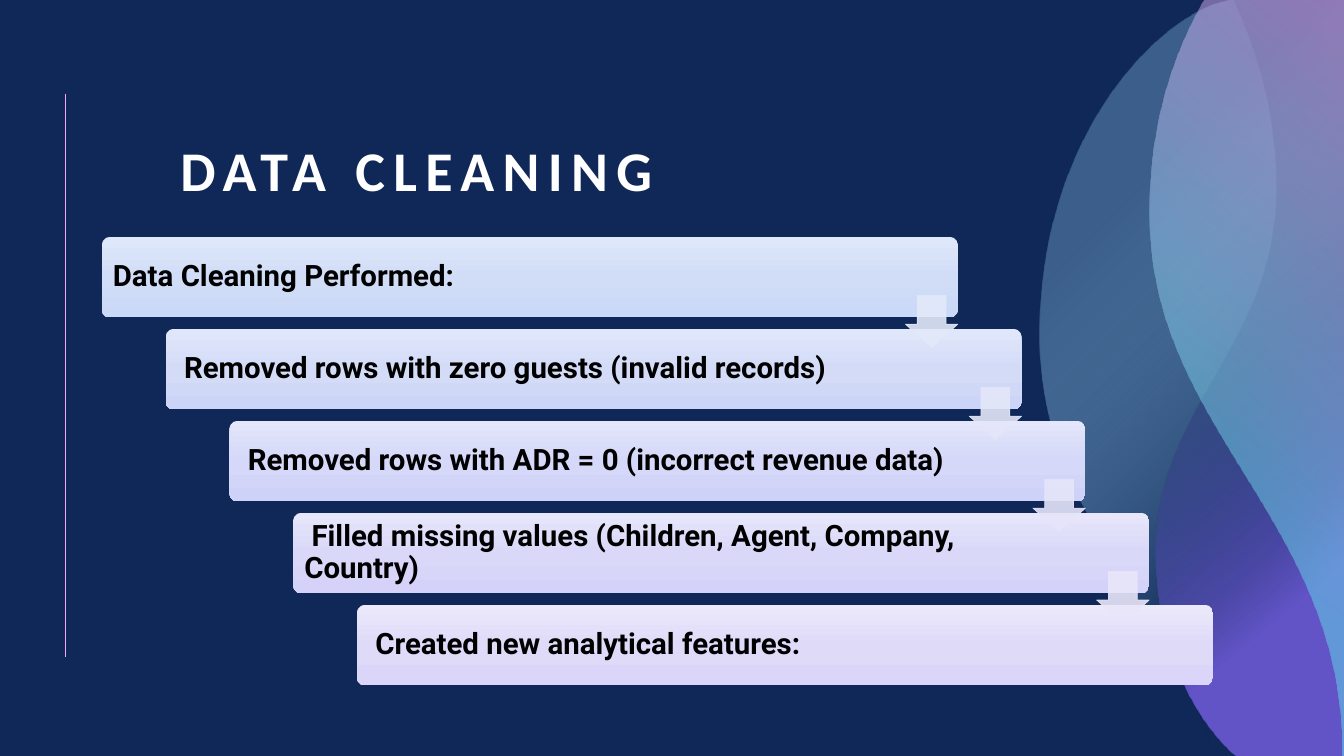
"""Build the data cleaning slide: a staircase of steps beside flowing ribbons."""
from dataclasses import dataclass

from lxml import etree
from pptx import Presentation
from pptx import util as u
from pptx.dml.color import RGBColor
from pptx.enum import shapes, text
from pptx.oxml.ns import qn


@dataclass(frozen=True)
class Theme:
    """Colours, fonts and type sizes of the slide."""

    background: str = "102857"
    rule: str = "F6A6F4"
    sky: str = "92CDF0"
    violet: str = "765FE1"
    teal: str = "64DFED"
    white: str = "FFFFFF"
    black: str = "000000"
    title_font: str = "Calibri"
    step_font: str = "Roboto"
    title_size: int = 40
    step_size: int = 21


THEME = Theme()
STEP_LEFT, STEP_TOP = 1.01, 2.35
ARROW_LEFT, ARROW_TOP = 8.98, 2.93
SHIFT_X, SHIFT_Y = 2.53 / 4, 3.65 / 4
STEPS = [
    ("Data Cleaning Performed:", 7.53, ("DFE8FA", "D1DDF7", "CAD9F7")),
    (" Removed rows with zero guests (invalid records)", 7.29, ("E1E7FA", "D3DBF7", "CCD5F8")),
    (" Removed rows with ADR = 0 (incorrect revenue data)", 7.29, ("E4E6FB", "D5D8F8", "CFD2F8")),
    (" Filled missing values (Children, Agent, Company, Country)", 7.29,
     ("E7E6FB", "D9D8F8", "D4D2F8")),
    (" Created new analytical features:", 7.29, ("ECE9FB", "DFDAF8", "DBD5F9")),
]
ARROW_COLOURS = ["E2E9F9", "E4E7F9", "E5E5FA", "E9E6FA"]
RIBBONS = [
    {
        "start": (12.2, 0),
        "pieces": [
            (13.34, 0), (13.34, 7.5), (12.04, 7.5), (12.02, 7.43),
            (11.54, 5.95, 10.31, 5.03, 10.31, 3.34),
            (10.3, 1.51, 11.32, 0.31, 12.05, 0.04),
        ],
        "stops": [(26, THEME.background, 100), (73, THEME.sky, 33)],
        "angle": None,
    },
    {
        "start": (12.23, 0),
        "pieces": [
            (13.33, 0), (13.33, 7.5), (12.26, 7.5), (12.24, 7.49),
            (11.85, 7.14, 11.46, 6.43, 11.46, 5.46),
            (11.47, 4.04, 12.63, 3.43, 12.65, 1.92),
            (12.66, 1.17, 12.48, 0.58, 12.28, 0.12),
        ],
        "stops": [(37, THEME.background, 28), (79, THEME.violet, 80)],
        "angle": 50,
    },
    {
        "start": (11.94, 0),
        "pieces": [
            (13.33, 0), (13.33, 7.5), (13.3, 7.5), (13.3, 7.37),
            (13.26, 5.14, 11.41, 4.24, 11.4, 2.15),
            (11.39, 1.36, 11.58, 0.69, 11.85, 0.17),
        ],
        "stops": [(32, THEME.teal, 48), (100, THEME.rule, 49)],
        "angle": 310,
    },
]


def apply_format(target, values):
    """Set each named attribute on the target."""
    for name, value in values.items():
        setattr(target, name, value)


def set_alpha(colour_node, percent):
    """Give a colour element an opacity."""
    etree.SubElement(colour_node, qn("a:alpha"), val=str(percent * 1000))


def fill_gradient(shape, stops, angle):
    """Fill with a linear gradient, or one round the lower right corner."""
    shape.fill.gradient()
    gradient = shape._element.spPr.find(qn("a:gradFill"))
    for child in list(gradient):
        gradient.remove(child)
    stop_list = etree.SubElement(gradient, qn("a:gsLst"))
    for position, colour, opacity in stops:
        stop = etree.SubElement(stop_list, qn("a:gs"), pos=str(position * 1000))
        colour_node = etree.SubElement(stop, qn("a:srgbClr"), val=colour)
        if opacity < 100:
            set_alpha(colour_node, opacity)
    if angle is None:
        circle = etree.SubElement(gradient, qn("a:path"), path="circle")
        etree.SubElement(circle, qn("a:fillToRect"), l="100000", t="100000")
    else:
        etree.SubElement(gradient, qn("a:lin"), ang=str(angle * 60000), scaled="0")


def bend_segments(ribbon, pieces):
    """Turn the straight segments that have control points into cubic curves."""
    segments = list(ribbon._element.spPr.iter(qn("a:lnTo")))
    for segment, piece in zip(segments, pieces):
        if len(piece) == 2:
            continue
        curve = etree.Element(qn("a:cubicBezTo"))
        for x, y in zip(piece[::2], piece[1::2]):
            etree.SubElement(curve, qn("a:pt"), x=str(u.Inches(x) - ribbon.left),
                             y=str(u.Inches(y) - ribbon.top))
        segment.getparent().replace(segment, curve)


def add_ribbon(page, start, pieces, stops, angle):
    """Add one translucent ribbon outlined by lines and curves."""
    builder = page.shapes.build_freeform(*map(u.Inches, start))
    corners = [tuple(map(u.Inches, piece[-2:])) for piece in pieces]
    builder.add_line_segments(corners, close=True)
    ribbon = builder.convert_to_shape()
    bend_segments(ribbon, pieces)
    ribbon.shadow.inherit = False
    ribbon.line.fill.background()
    fill_gradient(ribbon, stops, angle)


def add_rule(page):
    """Add the thin upright line at the left."""
    x = u.Inches(0.65)
    rule = page.shapes.add_connector(
        shapes.MSO_CONNECTOR.STRAIGHT, x, u.Inches(0.93), x, u.Inches(6.52))
    rule.line.color.rgb = RGBColor.from_string(THEME.rule)
    rule.line.width = u.Pt(0.5)
    etree.SubElement(rule._element.spPr, qn("a:effectLst"))


def add_text(page, place, wording, frame_format, font_format, colour):
    """Add a text box with one bold paragraph and return its span."""
    box = page.shapes.add_textbox(*map(u.Inches, place))
    apply_format(box.text_frame, {"word_wrap": True, **frame_format})
    para = box.text_frame.paragraphs[0]
    apply_format(para, {"alignment": text.PP_ALIGN.LEFT, "line_spacing": 0.9})
    span = para.add_run()
    span.text = wording
    apply_format(span.font, {"bold": True, **font_format})
    span.font.color.rgb = RGBColor.from_string(colour)
    return span


def add_title(page, wording):
    """Add the widely spaced title."""
    span = add_text(
        page, (1.69, 0.9, 9.71, 1.17), wording,
        {"vertical_anchor": text.MSO_ANCHOR.BOTTOM},
        {"name": THEME.title_font, "size": u.Pt(THEME.title_size)}, THEME.white)
    span.font._element.set("spc", "600")


def add_step(page, index, wording, text_width, colours):
    """Add one step of the staircase with its wording."""
    left, top = STEP_LEFT + index * SHIFT_X, STEP_TOP + index * SHIFT_Y
    panel = page.shapes.add_shape(
        shapes.MSO_SHAPE.ROUNDED_RECTANGLE, *map(u.Inches, (left, top, 8.49, 0.8)))
    panel.adjustments[0] = 0.1
    panel.shadow.inherit = False
    panel.line.fill.background()
    fill_gradient(panel, [(at, colour, 100) for at, colour in zip((0, 50, 100), colours)], 90)
    margins = {f"margin_{side}": u.Inches(0.09) for side in ("left", "top", "right", "bottom")}
    add_text(
        page, (left + 0.02, top + 0.02, text_width, 0.76), wording,
        {"vertical_anchor": text.MSO_ANCHOR.MIDDLE, **margins},
        {"name": THEME.step_font, "size": u.Pt(THEME.step_size)}, THEME.black)


def add_arrow(page, index, colour):
    """Add the arrow that leads from one step to the next."""
    place = (ARROW_LEFT + index * SHIFT_X, ARROW_TOP + index * SHIFT_Y, 0.52, 0.52)
    arrow = page.shapes.add_shape(shapes.MSO_SHAPE.DOWN_ARROW, *map(u.Inches, place))
    arrow.adjustments[0], arrow.adjustments[1] = 0.55, 0.45
    arrow.shadow.inherit = False
    arrow.fill.solid()
    arrow.fill.fore_color.rgb = arrow.line.color.rgb = RGBColor.from_string(colour)
    arrow.line.width = u.Pt(0.5)
    for node in arrow._element.spPr.iter(qn("a:srgbClr")):
        set_alpha(node, 90)


def main():
    """Build and save the deck."""
    deck = Presentation()
    apply_format(deck, {"slide_width": u.Inches(13.33), "slide_height": u.Inches(7.5)})
    page = deck.slides.add_slide(deck.slide_layouts[6])
    page.background.fill.solid()
    page.background.fill.fore_color.rgb = RGBColor.from_string(THEME.background)
    add_rule(page)
    for ribbon in RIBBONS:
        add_ribbon(page, **ribbon)
    add_title(page, "DATA CLEANING")
    for index, step in enumerate(STEPS):
        add_step(page, index, *step)
    for index, colour in enumerate(ARROW_COLOURS):
        add_arrow(page, index, colour)
    deck.save("out.pptx")


if __name__ == "__main__":
    main()
